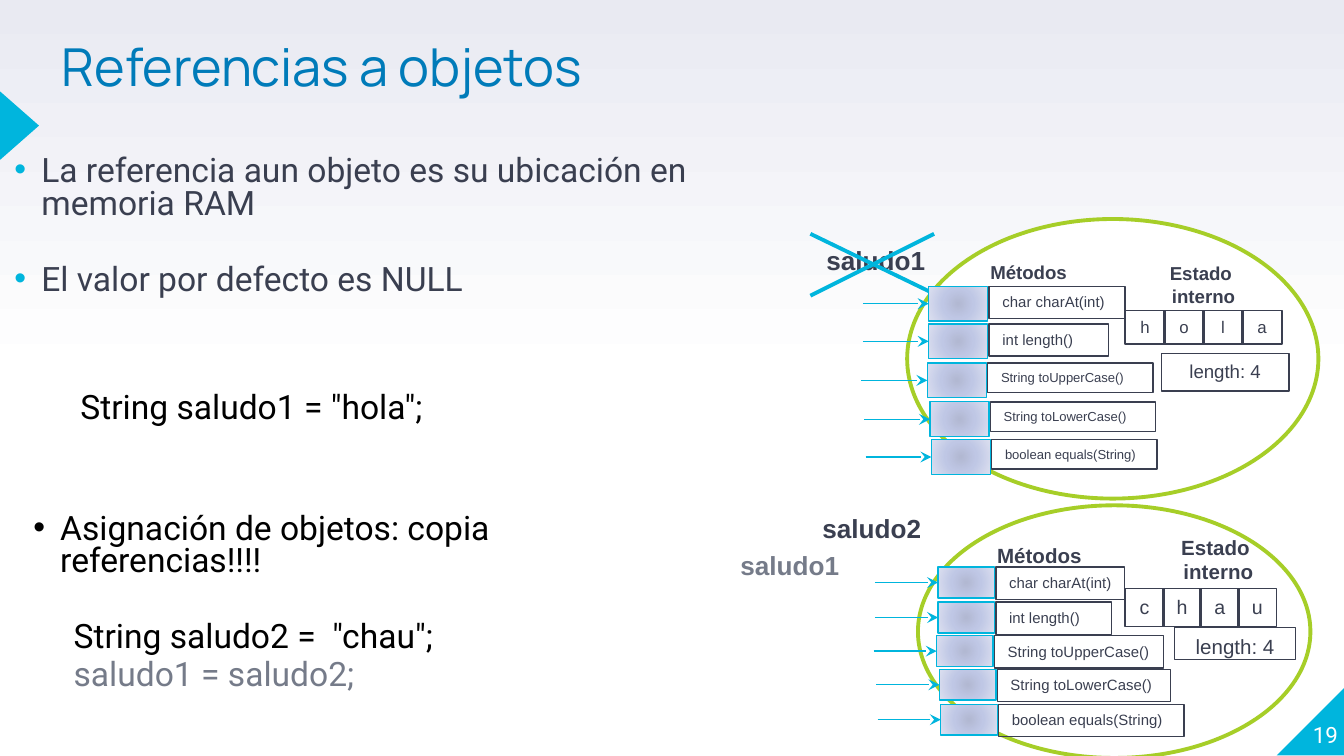
from dataclasses import dataclass

from lxml import etree
from pptx import Presentation
from pptx.dml.color import RGBColor
from pptx.enum.shapes import MSO_CONNECTOR as CONN, MSO_SHAPE as SHAPE
from pptx.enum.text import MSO_ANCHOR as ANCHOR, MSO_AUTO_SIZE as AUTO, PP_ALIGN as ALIGN
from pptx.oxml.ns import qn
from pptx.util import Emu, Pt

PX = 9144  # 100 px to the inch


@dataclass(frozen=True)
class Theme:
    accent: str = "00B5DD"
    title: str = "007BB9"
    ink: str = "3A3F50"
    muted: str = "757B89"
    black: str = "000000"
    white: str = "FFFFFF"
    oval: str = "A6CE28"
    sky: tuple = ((0, "FFFFFF"), (50, "FFFFFF"), (100, "E9EAF2"))
    port: tuple = ((0, "B2B8D2"), (45, "BFC7E5"), (100, "DCE0F0"))
    title_font: str = "Manrope"
    body_font: str = "Roboto"
    label_font: str = "Arial"
    title_size: float = 28
    body_size: float = 18
    name_size: float = 14
    number_size: float = 12
    thin: float = 0.75
    thick: float = 2.08


T = Theme()
METHODS = ("char charAt(int)", "int length()", "String toUpperCase()",
           "String toLowerCase()", "boolean equals(String)")
STAGGER = (0, 0, -1, 1, 2)


@dataclass(frozen=True)
class ObjectDiagram:
    oval: tuple
    ports: tuple          # left, top, width, height of the first port
    pitch: float
    label_widths: tuple
    label_heights: tuple
    label_sizes: tuple
    cells: tuple          # left, top, pitch, height of the letters
    letters: str
    letter_size: float
    head_size: float
    state: tuple
    methods: tuple
    length: tuple


HOLA = ObjectDiagram((675, 163, 306, 208), (691, 213, 44, 26), 28.5,
                     (101, 89, 123, 123, 123), (24, 24, 22, 22, 22), (8, 8, 7, 7, 7),
                     (837, 231, 29, 25), "hola", 9, 10,
                     (821, 190, 145, 45), (727, 189, 145, 28), (864, 263, 95, 28))
CHAU = ObjectDiagram((683, 376, 292, 188), (698, 422, 42, 23), 25.5,
                     (96, 86, 126, 129, 138), (24,) * 5, (8,) * 5,
                     (837, 438, 28, 28), "chau", 10.5, 11,
                     (828, 393, 153, 47), (732, 399, 139, 24), (874, 467, 90, 24))


def px(*values):
    return [Emu(round(v * PX)) for v in values]


def rgb(color):
    return RGBColor.from_string(color)


def add_xml(parent, tag, **attrs):
    el = etree.SubElement(parent, qn(tag))
    for key, value in attrs.items():
        el.set(key, str(value))
    return el


def set_gradient(fill, props, stops, angle=None):
    """Turn the fill into a linear gradient, or a round one without an angle."""
    fill.solid()
    old = props.find(qn("a:solidFill"))
    grad = etree.Element(qn("a:gradFill"), rotWithShape="1")
    stop_list = add_xml(grad, "a:gsLst")
    for pos, color in stops:
        add_xml(add_xml(stop_list, "a:gs", pos=pos * 1000), "a:srgbClr", val=color)
    if angle is None:
        path = add_xml(grad, "a:path", path="circle")
        add_xml(path, "a:fillToRect", l=50000, t=50000, r=50000, b=50000)
    else:
        add_xml(grad, "a:lin", ang=angle * 60000, scaled=0)
    props.replace(old, grad)


def write(tf, text, font=T.label_font, size=T.body_size, color=T.ink, bold=False,
          align=ALIGN.LEFT, spacing=None, before=None, indent=0, bullet=None):
    """Add one formatted paragraph to a text frame."""
    p = tf.paragraphs[0] if not tf.paragraphs[0].runs else tf.add_paragraph()
    p.alignment, p.line_spacing = align, spacing
    p.space_before = None if before is None else Pt(before)
    pPr = p._p.get_or_add_pPr()
    if indent:
        pPr.set("marL", str(indent * PX))
        pPr.set("indent", str(-indent * PX if bullet else 0))
    if bullet:
        add_xml(add_xml(pPr, "a:buClr"), "a:srgbClr", val=bullet)
        add_xml(pPr, "a:buFont", typeface="Arial")
        add_xml(pPr, "a:buChar", char="•")
    r = p.add_run()
    r.text = text
    r.font.name, r.font.size, r.font.bold = font, Pt(size), bold
    r.font.color.rgb = rgb(color)


def add_text(slide, at, *lines, anchor=ANCHOR.TOP, **fmt):
    tf = slide.shapes.add_textbox(*px(*at)).text_frame
    tf.word_wrap, tf.vertical_anchor = True, anchor
    for line in lines:
        write(tf, line, **fmt)
    return tf


def add_shape(slide, kind, at, fill=None, line=None, width=T.thin):
    s = slide.shapes.add_shape(kind, *px(*at))
    s.shadow.inherit = False
    if fill:
        s.fill.solid()
        s.fill.fore_color.rgb = rgb(fill)
    else:
        s.fill.background()
    if line:
        s.line.color.rgb, s.line.width = rgb(line), Pt(width)
    else:
        s.line.fill.background()
    return s


def add_box(slide, at, text, right=10, **fmt):
    tf = add_shape(slide, SHAPE.RECTANGLE, at, line=T.ink).text_frame
    tf.word_wrap, tf.vertical_anchor = True, ANCHOR.TOP
    tf.margin_right = px(right)[0]
    write(tf, text, **fmt)


def add_line(slide, ends, width=T.thin, target=None):
    c = slide.shapes.add_connector(CONN.STRAIGHT, *px(*ends))
    c.line.color.rgb, c.line.width = rgb(T.accent), Pt(width)
    if target is not None:
        c.end_connect(target, 1)
        add_xml(c.line._get_or_add_ln(), "a:tailEnd", type="stealth")
    add_xml(c._element.spPr, "a:effectLst")


def add_object(slide, d):
    add_shape(slide, SHAPE.OVAL, d.oval, T.white, T.oval, T.thick)
    # Internal state
    x, y, step, h = d.cells
    for i, letter in enumerate(d.letters):
        add_box(slide, (x + i * step, y, step + 1, h), letter,
                size=d.letter_size, align=ALIGN.CENTER)
    add_text(slide, d.state, "Estado", " interno", size=d.head_size, bold=True,
             align=ALIGN.CENTER)
    add_box(slide, d.length, "length: 4", size=d.head_size, align=ALIGN.CENTER)
    # Methods, each with a port and an incoming arrow
    add_text(slide, d.methods, "Métodos", size=d.head_size, bold=True)
    left, top, w, h = d.ports
    rows = zip(METHODS, STAGGER, d.label_widths, d.label_heights, d.label_sizes)
    for i, (name, shift, label_w, label_h, size) in enumerate(rows):
        x, y = left + shift, top + round(i * d.pitch)
        add_box(slide, (x + w + 1, y, label_w, label_h), name, right=0, size=size)
        port = add_shape(slide, SHAPE.RECTANGLE, (x, y, w, h), line=T.accent)
        set_gradient(port.fill, port._element.spPr, T.port)
        mid = y + h / 2
        add_line(slide, (x - w - 5, mid, x, mid), target=port)


def add_decor(slide):
    fill = slide.background.fill
    fill.solid()
    set_gradient(fill, slide._element.cSld.bg.bgPr, T.sky, angle=270)
    corner = add_shape(slide, SHAPE.RIGHT_TRIANGLE, (950, 511, 51, 51), T.accent)
    corner._element.spPr.xfrm.set("flipH", "1")
    add_shape(slide, SHAPE.ISOSCELES_TRIANGLE, (-11, 79, 51, 29), T.accent).rotation = 90
    add_text(slide, (967, 521, 50, 51), "19", anchor=ANCHOR.MIDDLE,
             font=T.body_font, size=T.number_size, color=T.white)


def add_title(slide, text):
    title = slide.shapes.title
    title.left, title.top, title.width, title.height = px(36, -6, 617, 118)
    tf = title.text_frame
    tf.auto_size, tf.vertical_anchor = AUTO.NONE, ANCHOR.MIDDLE
    write(tf, text, font=T.title_font, size=T.title_size, color=T.title, spacing=0.8)


def add_explanation(slide):
    body = dict(font=T.body_font, spacing=0.8)
    point = dict(body, indent=20, bullet=T.accent)
    code = dict(body, indent=30, color=T.black)
    tf = add_text(slide, (1, 112, 566, 118),
                  "La referencia aun objeto es su ubicación en memoria RAM", before=3.3, **point)
    write(tf, "El valor por defecto es NULL", before=23.5, **point)
    add_text(slide, (20, 288, 329, 35), 'String saludo1 = "hola";', **code)
    tf = add_text(slide, (15, 378, 500, 144), "Asignación de objetos: copia referencias!!!!",
                  **dict(point, color=T.black, bullet=T.black))
    write(tf, 'String saludo2 =  "chau";', before=23.2, **code)
    write(tf, "saludo1 = saludo2;", before=3, **dict(code, color=T.muted))


def main():
    prs = Presentation()
    prs.slide_width, prs.slide_height = px(1000, 562.5)
    slide = prs.slides.add_slide(prs.slide_layouts[5])
    add_decor(slide)
    add_title(slide, "Referencias a objetos")
    add_object(slide, CHAU)
    # Variable names; the old reference is crossed out
    for x, y, name, color in ((605, 177, "saludo1", T.ink), (602, 376, "saludo2", T.ink),
                              (541, 404, "saludo1", T.muted)):
        add_text(slide, (x, y, 139, 34), name, size=T.name_size, color=color, bold=True)
    for ends in ((603, 220, 695, 174), (603, 174, 698, 220)):
        add_line(slide, ends, T.thick)
    add_object(slide, HOLA)
    add_explanation(slide)
    prs.save("out.pptx")


if __name__ == "__main__":
    main()
